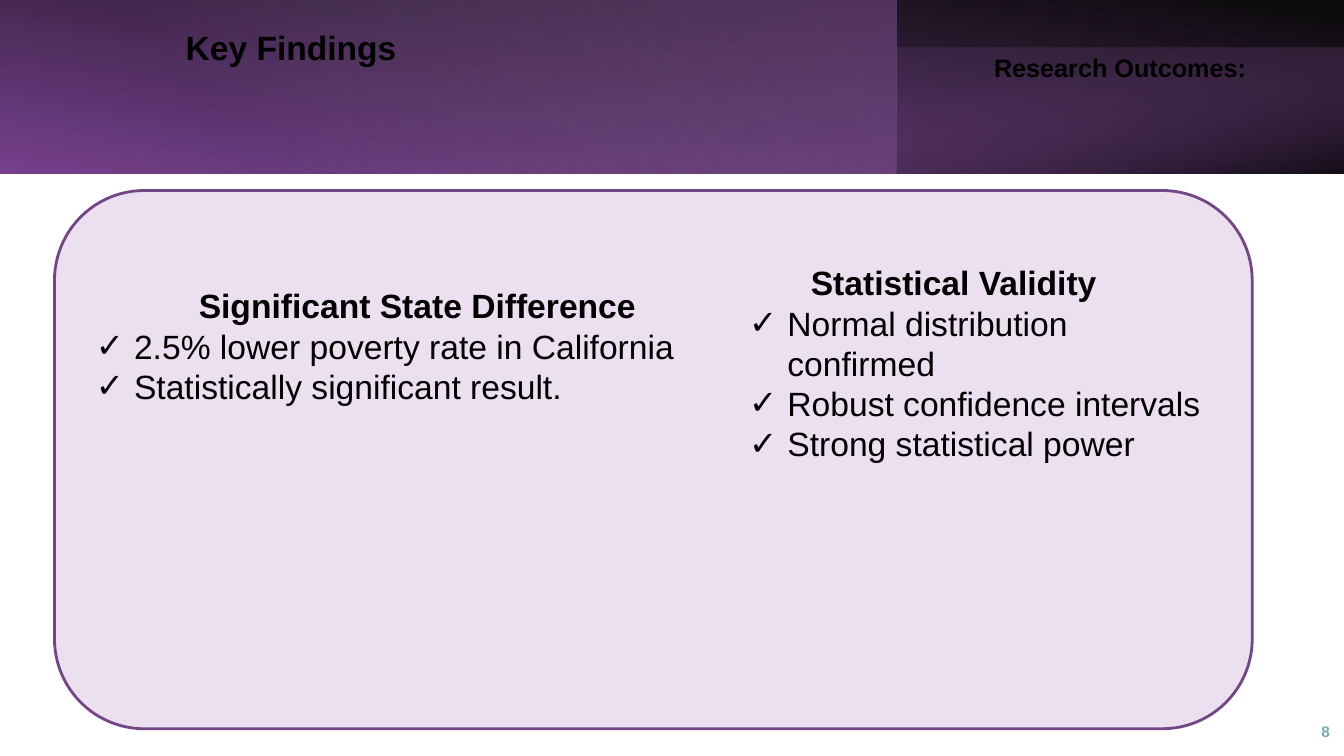
"""Builds the Key Findings slide: a purple gradient header above two check lists."""
from dataclasses import dataclass

from lxml.etree import SubElement
from pptx import Presentation
from pptx.dml.color import RGBColor
from pptx.enum.shapes import MSO_SHAPE
from pptx.enum.text import MSO_ANCHOR, MSO_AUTO_SIZE, PP_ALIGN
from pptx.oxml.ns import qn
from pptx.util import Inches, Pt


@dataclass(frozen=True)
class Theme:
    font: str = "Arial"
    ink: str = "000000"
    lilac: str = "9C5FB5"
    plum: str = "77418E"
    orchid: str = "C49FD3"
    panel: str = "EBDFF0"
    outline: str = "734686"
    number: str = "7DABAB"
    heading_size: int = 24
    label_size: int = 18
    number_size: int = 11


@dataclass(frozen=True)
class Area:
    left: float
    top: float
    width: float
    height: float

    def lengths(self) -> tuple:
        return tuple(Inches(side) for side in (self.left, self.top, self.width, self.height))


@dataclass(frozen=True)
class Stop:
    position: int
    color: str
    opacity: int


@dataclass(frozen=True)
class Band:
    area: Area
    angle: int
    stops: tuple
    rotation: int = 0
    mirrored: bool = False


@dataclass(frozen=True)
class Finding:
    area: Area
    heading: str
    points: tuple
    level: int
    indent: float


THEME = Theme()
SLIDE_WIDTH, SLIDE_HEIGHT = 13.33, 7.5
BAND_HEIGHT, SPLIT = 1.72, 8.89
HANGING = 0.38

BANDS = (
    Band(Area(0, 0, SLIDE_WIDTH, BAND_HEIGHT), 260,
         (Stop(0, THEME.ink, 96), Stop(100, THEME.plum, 100)), 180, True),
    Band(Area(0, 0, SPLIT, BAND_HEIGHT), 320,
         (Stop(26, THEME.orchid, 0), Stop(100, THEME.lilac, 41))),
    Band(Area(SPLIT, 0.47, SLIDE_WIDTH - SPLIT, 1.25), 100,
         (Stop(22, THEME.lilac, 15), Stop(100, THEME.ink, 63)), 0, True),
)
FINDINGS = (
    Finding(Area(0.85, 2.78, 6.67, 1.31), "Significant State Difference ",
            ("2.5% lower poverty rate in California", "Statistically significant result."),
            0, HANGING),
    Finding(Area(6.83, 2.55, 5.35, 2.12), "Statistical Validity ",
            ("Normal distribution confirmed", "Robust confidence intervals",
             "Strong statistical power"), 1, 0.88),
)


def place(shape, area: Area) -> None:
    shape.left, shape.top, shape.width, shape.height = area.lengths()


def format_paragraph(para, size: int, align, color: str = THEME.ink, bold: bool = True) -> None:
    para.alignment = align
    para.space_before = Pt(0)
    for span in para.runs:
        span.font.name = THEME.font
        span.font.size = Pt(size)
        span.font.bold = bold
        span.font.color.rgb = RGBColor.from_string(color)


def set_bullet(para, mark: str, indent: float, hanging: float) -> None:
    properties = para._p.get_or_add_pPr()
    properties.set("marL", str(Inches(indent)))
    properties.set("indent", str(-Inches(hanging)))
    if mark:
        SubElement(properties, qn("a:buFont"), typeface=THEME.font)
        SubElement(properties, qn("a:buChar"), char=mark)
    else:
        SubElement(properties, qn("a:buNone"))


def add_band(page, band: Band):
    box = page.shapes.add_shape(MSO_SHAPE.RECTANGLE, *band.area.lengths())
    box.shadow.inherit = False
    box.line.fill.background()
    box.rotation = band.rotation
    if band.mirrored:
        box.element.spPr.find(qn("a:xfrm")).set("flipH", "1")
    box.fill.gradient()
    box.fill.gradient_angle = 360 - band.angle
    for target, stop in zip(box.fill.gradient_stops, band.stops):
        target.position = stop.position / 100
        target.color.rgb = RGBColor.from_string(stop.color)
    for color, stop in zip(box.element.spPr.iter(qn("a:srgbClr")), band.stops):
        SubElement(color, qn("a:alpha"), val=str(stop.opacity * 1000))
    return box


def add_panel(page) -> None:
    panel = page.shapes.add_shape(MSO_SHAPE.ROUNDED_RECTANGLE,
                                  *Area(0.54, 1.89, 11.88, 5.34).lengths())
    panel.adjustments[0] = 0.167
    panel.shadow.inherit = False
    panel.fill.solid()
    panel.fill.fore_color.rgb = RGBColor.from_string(THEME.panel)
    panel.line.color.rgb = RGBColor.from_string(THEME.outline)
    panel.line.width = Pt(2)


def prepare_placeholder(page, holder, area: Area):
    page.shapes.element.append(holder.element)
    place(holder, area)
    frame = holder.text_frame
    frame.word_wrap = True
    frame.auto_size = MSO_AUTO_SIZE.NONE
    frame.vertical_anchor = MSO_ANCHOR.TOP
    return frame


def fill_finding(page, holder, finding: Finding) -> None:
    frame = prepare_placeholder(page, holder, finding.area)
    frame.text = "\n".join((finding.heading, *finding.points))
    heading, *points = frame.paragraphs
    format_paragraph(heading, THEME.heading_size, PP_ALIGN.CENTER)
    set_bullet(heading, "", 0, 0)
    for para in points:
        para.level = finding.level
        format_paragraph(para, THEME.heading_size, PP_ALIGN.LEFT, bold=False)
        set_bullet(para, "✓", finding.indent, HANGING)


def add_page_number(page) -> None:
    box = page.shapes.add_textbox(*Area(12.8, 7.06, 0.49, 0.4).lengths())
    frame = box.text_frame
    frame.word_wrap = True
    frame.vertical_anchor = MSO_ANCHOR.MIDDLE
    frame.text = "8"
    format_paragraph(frame.paragraphs[0], THEME.number_size, PP_ALIGN.RIGHT, THEME.number)


def main() -> None:
    deck = Presentation()
    deck.slide_width, deck.slide_height = Inches(SLIDE_WIDTH), Inches(SLIDE_HEIGHT)
    page = deck.slides.add_slide(deck.slide_layouts.get_by_name("Two Content"))
    title, *columns = list(page.placeholders)

    bands = [add_band(page, band) for band in BANDS]
    label = bands[-1].text_frame
    label.vertical_anchor = MSO_ANCHOR.TOP
    label.text = "Research Outcomes:"
    format_paragraph(label.paragraphs[0], THEME.label_size, PP_ALIGN.CENTER)

    add_page_number(page)
    frame = prepare_placeholder(page, title, Area(1.74, 0.22, 6.3, 0.5))
    frame.text = "Key Findings"
    format_paragraph(frame.paragraphs[0], THEME.heading_size, PP_ALIGN.LEFT)

    add_panel(page)
    for holder, finding in zip(columns, FINDINGS):
        fill_finding(page, holder, finding)
    deck.save("out.pptx")


if __name__ == "__main__":
    main()
